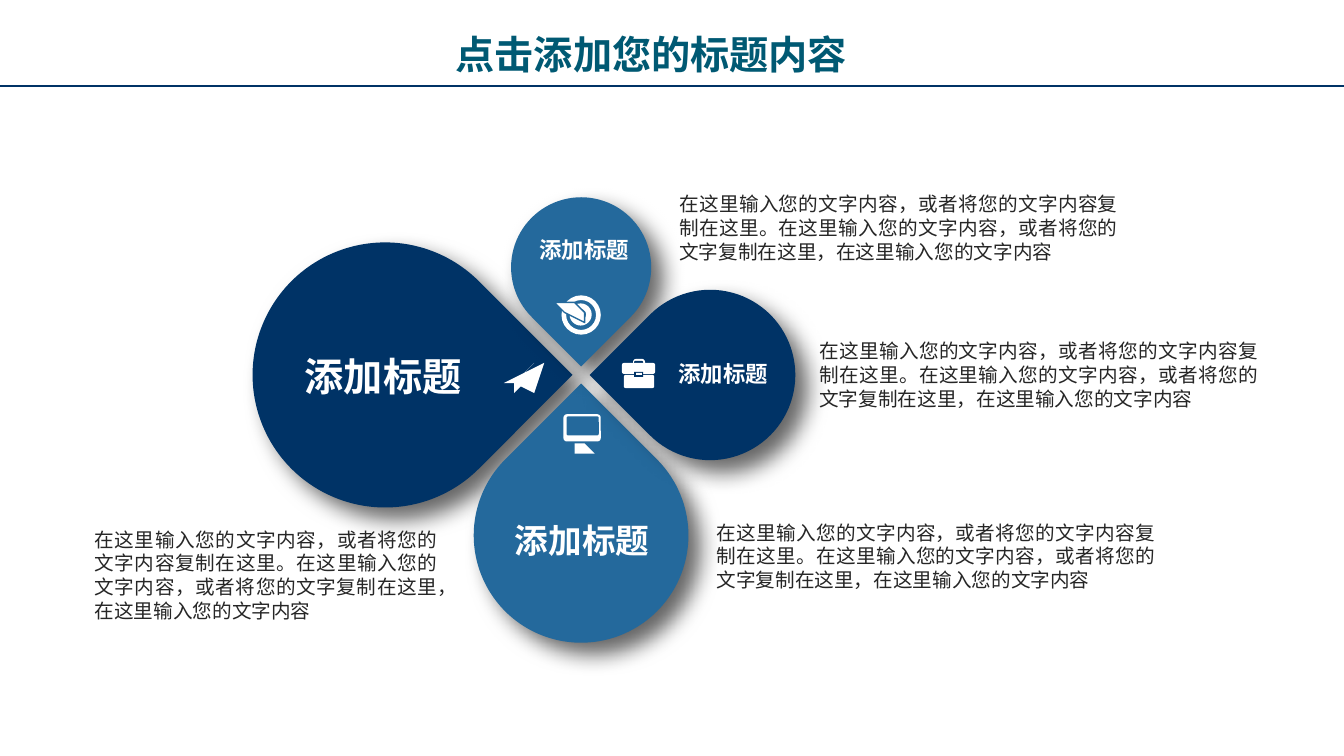
"""Builds a slide with four petals around a hub, each with an icon and a caption."""
import math

from lxml import etree
from pptx import Presentation
from pptx import util as u
from pptx.dml.color import RGBColor
from pptx.enum import shapes, text
from pptx.oxml.ns import qn

FONT = "Noto Sans CJK SC"
COLORS = {"navy": "003366", "blue": "24699C", "teal": "005973",
          "ink": "262626", "white": "FFFFFF", "shadow": "000000"}
COLS, ROWS = 133.33, 75
CELL = u.Inches(7.5) / ROWS
TITLE = ("点击添加您的标题内容", (44.2, 2.4, 45, 5.7))
RULE_ROW = 8.5
BODY = ("在这里输入您的文字内容，或者将您的文字内容复制在这里。"
        "在这里输入您的文字内容，或者将您的文字复制在这里，在这里输入您的文字内容")
BODY_BOXES = [(80.3, 33.1, 45.5, 8.1), (66.4, 18.5, 45.5, 8.1),
              (70.1, 51.1, 45.5, 8.1), (8.4, 51.8, 36, 10.4)]
HUB, GAP = (57.65, 37.2), 0.85
PETALS = [(180, 13.15, "navy"), (90, 10.65, "blue"),
          (270, 6.95, "blue"), (0, 8.45, "navy")]
CAPTION = "添加标题"
CAPTIONS = [((27.1, 34.4, 21.8, 5.7), 28), ((49.7, 51, 16.1, 5), 24),
            ((51.2, 22.9, 13.5, 3.7), 16), ((65, 35.2, 13.5, 3.7), 16)]

PLANE = [
    ([(52.6, 36.4), (50.9, 38), (49.5, 37.6), (53.5, 35.5), (52.8, 38.6), (51.2, 38.1)], "white", None),
    ([(51.2, 38.4), (51.7, 38.5), (51.3, 39.2), (51.2, 39.2)], "white", None)]
DART = [(57.6, 31.5), (56.4, 30.8), (56.1, 30.9), (55.3, 30.3), (55.9, 30.1),
        (55.8, 29.5), (56.7, 30), (56.7, 30.3), (57.7, 31), (57.9, 31.3)]
STAND = [(57.3, 43.9), (58.3, 43.9), (58.3, 44.4), (58.6, 44.7), (57, 44.7), (57.3, 44.5)]
PRESETS = [
    ("DONUT", (55.7, 29.3, 3.9, 3.9), 0.12, "white"),
    ("DONUT", (56.5, 30.1, 2.2, 2.2), 0.25, "white"),
    ("ROUNDED_RECTANGLE", (55.9, 41.1, 3.7, 2.7), 0.12, "white"),
    ("ROUNDED_RECTANGLE", (56.2, 41.3, 3.2, 1.9), 0.1, "blue"),
    ("ROUNDED_RECTANGLE", (62.8, 35.6, 1.2, 0.8), 0.4, "white"),
    ("ROUNDED_RECTANGLE", (62.9, 35.8, 0.9, 0.5), 0.3, "navy"),
    ("ROUNDED_RECTANGLE", (61.7, 36, 3.3, 1.1), 0.2, "white"),
    ("ROUNDED_RECTANGLE", (61.9, 37.2, 3, 1.3), 0.12, "white"),
    ("RECTANGLE", (62.9, 36.9, 0.9, 0.5), None, "navy"),
    ("RECTANGLE", (63.1, 37, 0.6, 0.2), None, "white")]
OUTLINES = PLANE + [(DART, "white", "blue"), (STAND, "white", None)]


def grid(*cells):
    """Turns grid cells into lengths."""
    return [u.Emu(round(c * CELL)) for c in cells]


def rgb(name):
    """Looks up a colour by name."""
    return RGBColor.from_string(COLORS[name])


def write(sp, words, size=14, color="ink", bold=False, align="LEFT"):
    """Writes one formatted paragraph into a shape."""
    tf = sp.text_frame
    tf.word_wrap = True
    tf.auto_size = text.MSO_AUTO_SIZE.NONE
    tf.vertical_anchor = text.MSO_ANCHOR.TOP
    p = tf.paragraphs[0]
    p.alignment = getattr(text.PP_ALIGN, align)
    p.line_spacing = u.Pt(round(size * 1.22, 1))
    p.space_before = u.Pt(0)
    r = p.add_run()
    r.text = words
    r.font.size, r.font.bold, r.font.name = u.Pt(size), bold, FONT
    r.font.color.rgb = rgb(color)
    props = r._r.get_or_add_rPr()
    props.set("lang", "zh-CN")
    etree.SubElement(props, qn("a:ea"), typeface=FONT)


def paint(sp, fill, edge=None):
    """Gives a shape a flat fill and an optional edge."""
    sp.shadow.inherit = False
    sp.fill.solid()
    sp.fill.fore_color.rgb = rgb(fill)
    if edge:
        sp.line.color.rgb = rgb(edge)
        sp.line.width = u.Pt(1)
    else:
        sp.line.fill.background()


def add_preset(s, kind, box, adjust, fill):
    """Adds a flat preset shape."""
    sp = s.shapes.add_shape(getattr(shapes.MSO_SHAPE, kind), *grid(*box))
    if adjust is not None:
        sp.adjustments[0] = adjust
    paint(sp, fill)
    return sp


def add_petal(s, angle, radius, fill):
    """Adds a teardrop that points at the hub, with a soft shadow."""
    reach = GAP + radius * math.sqrt(2)
    x = HUB[0] + reach * math.cos(math.radians(angle))
    y = HUB[1] + reach * math.sin(math.radians(angle))
    box = (x - radius, y - radius, 2 * radius, 2 * radius)
    sp = add_preset(s, "TEAR", box, 1, fill)
    sp.rotation = (angle + 225) % 360
    effects = sp._element.spPr.find(qn("a:effectLst"))
    shadow = etree.SubElement(effects, qn("a:outerShdw"), blurRad=str(u.Pt(16)), dist=str(u.Pt(12)),
                              dir="2700000", algn="tl", rotWithShape="0")
    tint = etree.SubElement(shadow, qn("a:srgbClr"), val=COLORS["shadow"])
    etree.SubElement(tint, qn("a:alpha"), val="60000")


def add_outline(s, points, fill, edge):
    """Adds a closed polygon."""
    fb = s.shapes.build_freeform(*points[0], scale=CELL)
    fb.add_line_segments(points[1:], close=True)
    paint(fb.convert_to_shape(), fill, edge)


def main():
    prs = Presentation()
    prs.slide_width, prs.slide_height = grid(COLS, ROWS)
    s = prs.slides.add_slide(prs.slide_layouts[5])

    words, box = TITLE
    title = s.shapes.title
    title.left, title.top, title.width, title.height = grid(*box)
    write(title, words, size=28, color="teal", bold=True)

    rule = s.shapes.add_connector(shapes.MSO_CONNECTOR.STRAIGHT, *grid(0, RULE_ROW, COLS, RULE_ROW))
    rule.line.color.rgb = rgb("navy")
    rule.line.width = u.Pt(1.5)
    etree.SubElement(rule._element.spPr, qn("a:effectLst"))

    for petal in PETALS:
        add_petal(s, *petal)
    for preset in PRESETS:
        add_preset(s, *preset)
    for outline in OUTLINES:
        add_outline(s, *outline)
    for box, size in CAPTIONS:
        write(s.shapes.add_textbox(*grid(*box)), CAPTION,
              size=size, color="white", bold=True, align="CENTER")
    for box in BODY_BOXES:
        write(s.shapes.add_textbox(*grid(*box)), BODY, align="JUSTIFY")

    prs.save("out.pptx")


if __name__ == "__main__":
    main()
